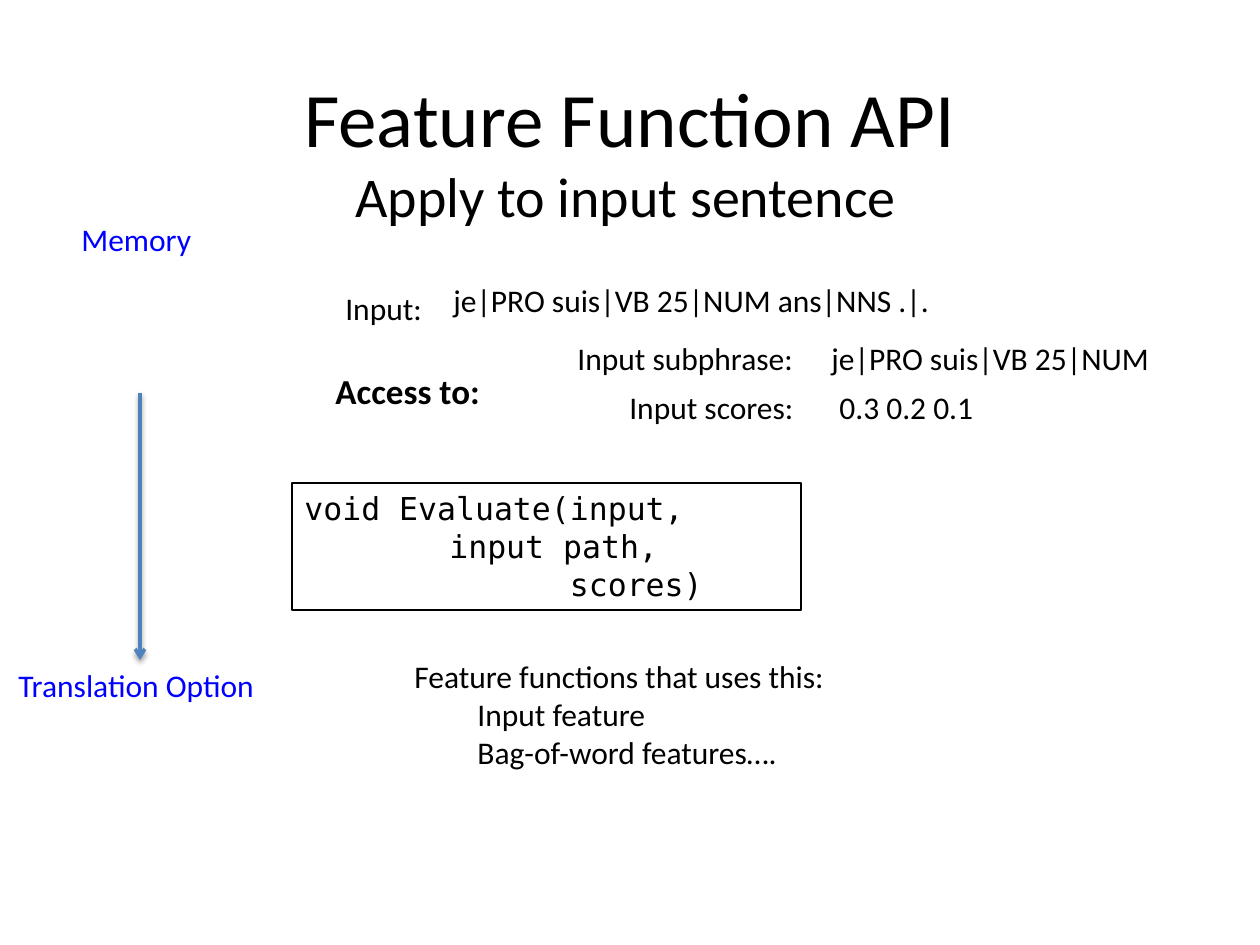
from lxml.etree import SubElement
from pptx import Presentation
from pptx.dml.color import RGBColor
from pptx.enum.shapes import MSO_CONNECTOR, MSO_SHAPE
from pptx.enum.text import MSO_ANCHOR, PP_ALIGN
from pptx.oxml.ns import qn
from pptx.util import Pt

PX = 914400 / 126
COLORS = {"text": "000000", "stage": "0000FF", "arrow": "4F81BD", "shadow": "000000"}
BODY_FONT = "Calibri"
CODE_FONT = "DejaVu Sans Mono"
LINE_HEIGHT = 51


def px(length):
    return round(length * PX)


def color(name):
    return RGBColor.from_string(COLORS[name])


def write(shape, text, size=18, tone="text", font=BODY_FONT, bold=False,
          align=PP_ALIGN.LEFT, wrap=False):
    text_frame = shape.text_frame
    text_frame.text = text
    text_frame.word_wrap = wrap
    for paragraph in text_frame.paragraphs:
        paragraph.alignment = align
        for run in paragraph.runs:
            run.font.name = font
            run.font.size = Pt(size)
            run.font.bold = bold
            run.font.color.rgb = color(tone)
    return text_frame


def add_text(slide, box, text, **style):
    shape = slide.shapes.add_textbox(*(px(length) for length in box))
    return write(shape, text, **style)


def add_heading(slide, left, top, width, height):
    title = add_text(slide, (left, top, width, height), "Feature Function API",
                     size=44, align=PP_ALIGN.CENTER, wrap=True)
    title.vertical_anchor = MSO_ANCHOR.MIDDLE
    add_text(slide, (left + 280, top + 117, 573, 81), "Apply to input sentence", size=32)


def add_flow(slide, left, top, width, height):
    # Stages at both ends
    add_text(slide, (left + 63, top, 136, LINE_HEIGHT), "Memory", tone="stage")
    add_text(slide, (left, top + height - LINE_HEIGHT, width, LINE_HEIGHT),
             "Translation Option", tone="stage")

    # Arrow between them, with a soft shadow
    center = px(left + 134)
    arrow = slide.shapes.add_connector(
        MSO_CONNECTOR.STRAIGHT, center, px(top + 179),
        center, px(top + height - LINE_HEIGHT))
    arrow.line.color.rgb = color("arrow")
    arrow.line.width = Pt(2)
    SubElement(arrow.line._get_or_add_ln(), qn("a:tailEnd"), type="arrow")
    effects = SubElement(arrow._element.spPr, qn("a:effectLst"))
    shadow = SubElement(effects, qn("a:outerShdw"), blurRad=str(Pt(3.1)),
                        dist=str(Pt(1.6)), dir="5400000", rotWithShape="0")
    shade = SubElement(shadow, qn("a:srgbClr"), val=COLORS["shadow"])
    SubElement(shade, qn("a:alpha"), val="38000")


def add_inputs(slide, left, top):
    # Label and value pairs: label x, label y, label width, value x, value y, value width
    rows = [
        ("Input:", 10, 8, 103, "je|PRO suis|VB 25|NUM ans|NNS .|.", 118, 0, 507),
        ("Input subphrase:", 242, 58, 244, "je|PRO suis|VB 25|NUM", 496, 58, 347),
        ("Input scores:", 294, 107, 192, "0.3 0.2 0.1", 504, 107, 160),
    ]
    for label, label_x, label_y, label_width, value, value_x, value_y, value_width in rows:
        add_text(slide, (left + label_x, top + label_y, label_width, LINE_HEIGHT), label)
        add_text(slide, (left + value_x, top + value_y, value_width, LINE_HEIGHT), value)
    add_text(slide, (left, top + 88, 218, 55), "Access to:", size=20, bold=True, wrap=True)


def add_code(slide, left, top, width, height):
    frame = slide.shapes.add_shape(
        MSO_SHAPE.RECTANGLE, px(left), px(top), px(width), px(height))
    frame.shadow.inherit = False
    frame.fill.background()
    frame.line.color.rgb = color("text")
    frame.line.width = Pt(0.75)
    text_frame = write(
        frame, "void Evaluate(input,\n\t\t input path,\n              scores)", font=CODE_FONT)
    text_frame.vertical_anchor = MSO_ANCHOR.TOP


def add_users(slide, left, top, width, height):
    add_text(slide, (left, top, width, height),
             "Feature functions that uses this:\n\tInput feature\n\tBag-of-word features….")


def main():
    presentation = Presentation()
    presentation.slide_width = px(1260)
    presentation.slide_height = px(945)
    slide = presentation.slides.add_slide(presentation.slide_layouts[6])
    add_heading(slide, 63, 38, 1134, 157)
    add_flow(slide, 6, 214, 266, 497)
    add_inputs(slide, 323, 275)
    add_code(slide, 292, 483, 509, 127)
    add_users(slide, 402, 651, 459, 127)
    presentation.save("out.pptx")


if __name__ == "__main__":
    main()
